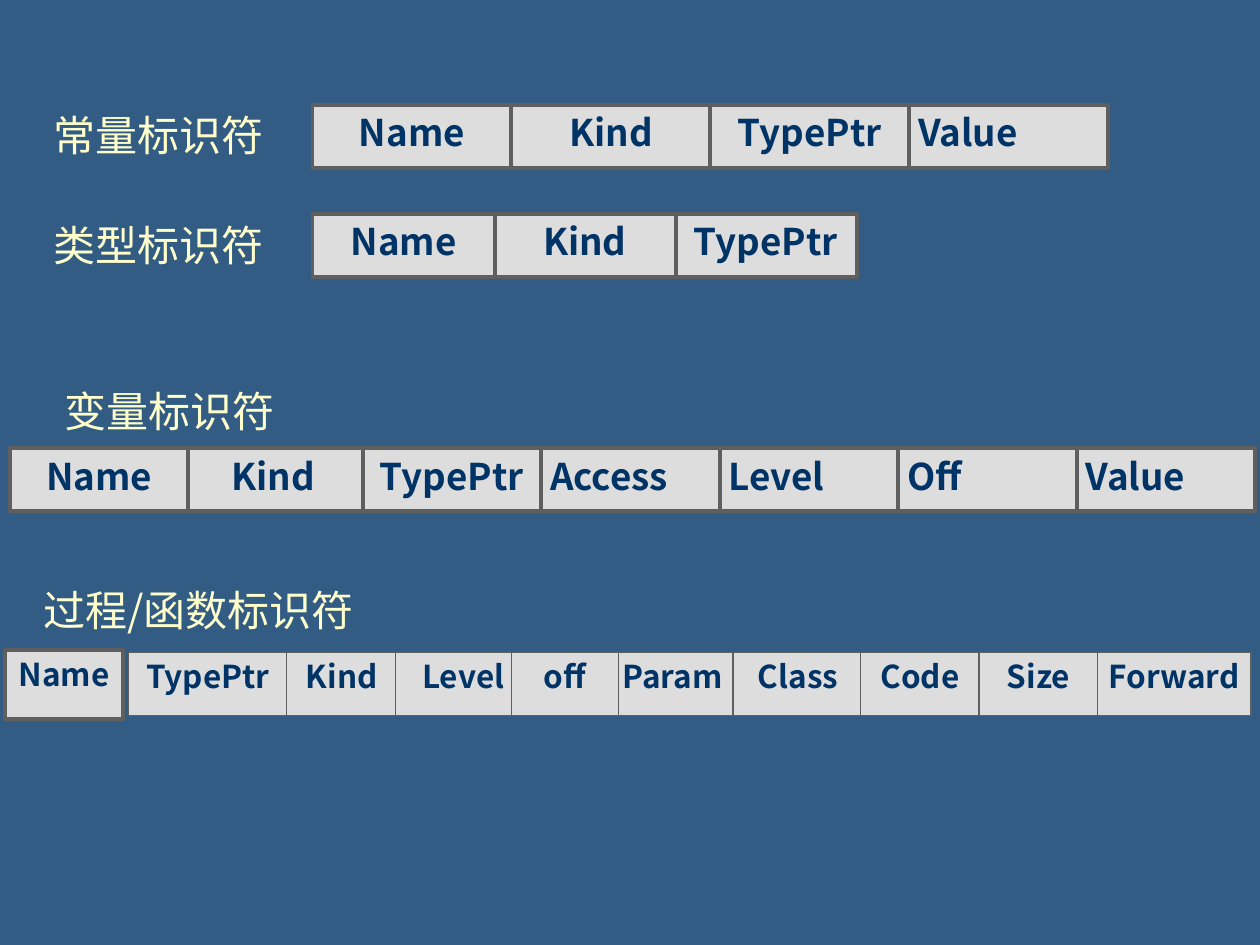
from dataclasses import dataclass

from lxml import etree
from pptx import Presentation
from pptx.dml.color import RGBColor
from pptx.enum.shapes import MSO_SHAPE
from pptx.enum.text import MSO_ANCHOR, MSO_AUTO_SIZE, PP_ALIGN
from pptx.oxml.ns import qn
from pptx.util import Cm, Pt

RECTANGLE = MSO_SHAPE.RECTANGLE
TOP = MSO_ANCHOR.TOP
FIT_SHAPE = MSO_AUTO_SIZE.SHAPE_TO_FIT_TEXT
LEFT, CENTER = PP_ALIGN.LEFT, PP_ALIGN.CENTER
BLANK_LAYOUT = 6


@dataclass(frozen=True)
class Theme:
    font: str = "Noto Sans CJK SC"
    background: RGBColor = RGBColor(0x33, 0x5C, 0x85)
    label: RGBColor = RGBColor(0xFF, 0xFF, 0xCC)
    cell: RGBColor = RGBColor(0xDD, 0xDD, 0xDD)
    border: RGBColor = RGBColor(0x5F, 0x5F, 0x5F)
    cell_text: RGBColor = RGBColor(0x00, 0x33, 0x66)
    label_size: float = 24
    cell_size: float = 21
    small_cell_size: float = 18
    thick_line: float = 2.25
    thin_line: float = 0.75


@dataclass(frozen=True)
class Field:
    """One cell of a record; left is measured from the record's left edge."""
    name: str
    left: float
    width: float
    align: PP_ALIGN = CENTER


THEME = Theme()


def write_text(shape, text, size, color, bold=False, align=LEFT):
    frame = shape.text_frame
    frame.margin_left = frame.margin_right = Cm(0.18)
    frame.margin_top = frame.margin_bottom = Cm(0.1)
    frame.vertical_anchor = TOP
    paragraph = frame.paragraphs[0]
    paragraph.alignment = align
    run = paragraph.add_run()
    run.text = text
    run.font.size = Pt(size)
    run.font.bold = bold
    run.font.color.rgb = color
    run.font.name = THEME.font
    east_asian = etree.SubElement(run.font._element, qn("a:ea"))
    east_asian.set("typeface", THEME.font)


def add_label(slide, text, left, top, width):
    """Heading that names the kind of identifier."""
    label = slide.shapes.add_textbox(Cm(left), Cm(top), Cm(width), Cm(1.19))
    label.text_frame.word_wrap = False
    label.text_frame.auto_size = FIT_SHAPE
    write_text(label, text, THEME.label_size, THEME.label)


def add_record(slide, fields, left, top, height=1.27,
               size=THEME.cell_size, line=THEME.thick_line):
    """Group of cells, drawn in the order given."""
    group = slide.shapes.add_group_shape()
    for field in fields:
        cell = group.shapes.add_shape(
            RECTANGLE, Cm(left + field.left), Cm(top), Cm(field.width), Cm(height))
        cell.shadow.inherit = False
        cell.fill.solid()
        cell.fill.fore_color.rgb = THEME.cell
        cell.line.color.rgb = THEME.border
        cell.line.width = Pt(line)
        cell.text_frame.word_wrap = True
        write_text(cell, field.name, size, THEME.cell_text, True, field.align)


def equal_fields(names, pitch, width, start=0, centered=3):
    """Equally spaced fields, right to left; those after `centered` align left."""
    fields = [Field(name, start + index * pitch, width,
                    CENTER if index < centered else LEFT)
              for index, name in enumerate(names)]
    return fields[::-1]


def add_constant(slide, left, top):
    add_label(slide, "常量标识符", left, top, 4.75)
    names = ["Name", "Kind", "TypePtr", "Value"]
    add_record(slide, equal_fields(names, 4.01, 4.01), left + 5.4, top)


def add_type(slide, left, top):
    add_label(slide, "类型标识符", left, top, 4.6)
    names = ["Name", "Kind", "TypePtr"]
    add_record(slide, equal_fields(names, 3.65, 3.68), left + 5.4, top)


def add_variable(slide, left, top):
    add_label(slide, "变量标识符", left + 0.92, top, 4.6)
    names = ["Kind", "TypePtr", "Access", "Level", "Off", "Value"]
    fields = equal_fields(names, 3.6, 3.6, start=3.51, centered=2)
    # The first cell slightly covers its neighbour
    fields.append(Field("Name", 0, 3.6))
    add_record(slide, fields, left, top + 1.37)


def add_routine(slide, left, top):
    add_label(slide, "过程/函数标识符", left + 0.59, top, 7.21)
    add_record(slide, [Field("Name", 0, 2.39)], left, top + 1.42, 1.4,
               THEME.small_cell_size)
    # "off" comes last because it covers the edges of both neighbours
    fields = [
        Field("TypePtr", 2.49, 3.2),
        Field("Kind", 5.67, 2.24),
        Field("Level", 7.88, 2.72),
        Field("Param", 12.24, 2.44),
        Field("Class", 14.68, 2.62),
        Field("Code", 17.25, 2.39),
        Field("Size", 19.64, 2.39),
        Field("Forward", 22.02, 3.1),
        Field("off", 10.21, 2.16),
    ]
    add_record(slide, fields, left, top + 1.47, 1.27,
               THEME.small_cell_size, THEME.thin_line)


def main():
    presentation = Presentation()
    presentation.slide_width, presentation.slide_height = Cm(25.4), Cm(19.05)
    slide = presentation.slides.add_slide(presentation.slide_layouts[BLANK_LAYOUT])
    slide.background.fill.solid()
    slide.background.fill.fore_color.rgb = THEME.background

    # One region for each kind of identifier
    add_constant(slide, 0.9, 2.11)
    add_type(slide, 0.9, 4.32)
    add_variable(slide, 0.2, 7.67)
    add_routine(slide, 0.1, 11.68)
    presentation.save("out.pptx")


if __name__ == "__main__":
    main()
